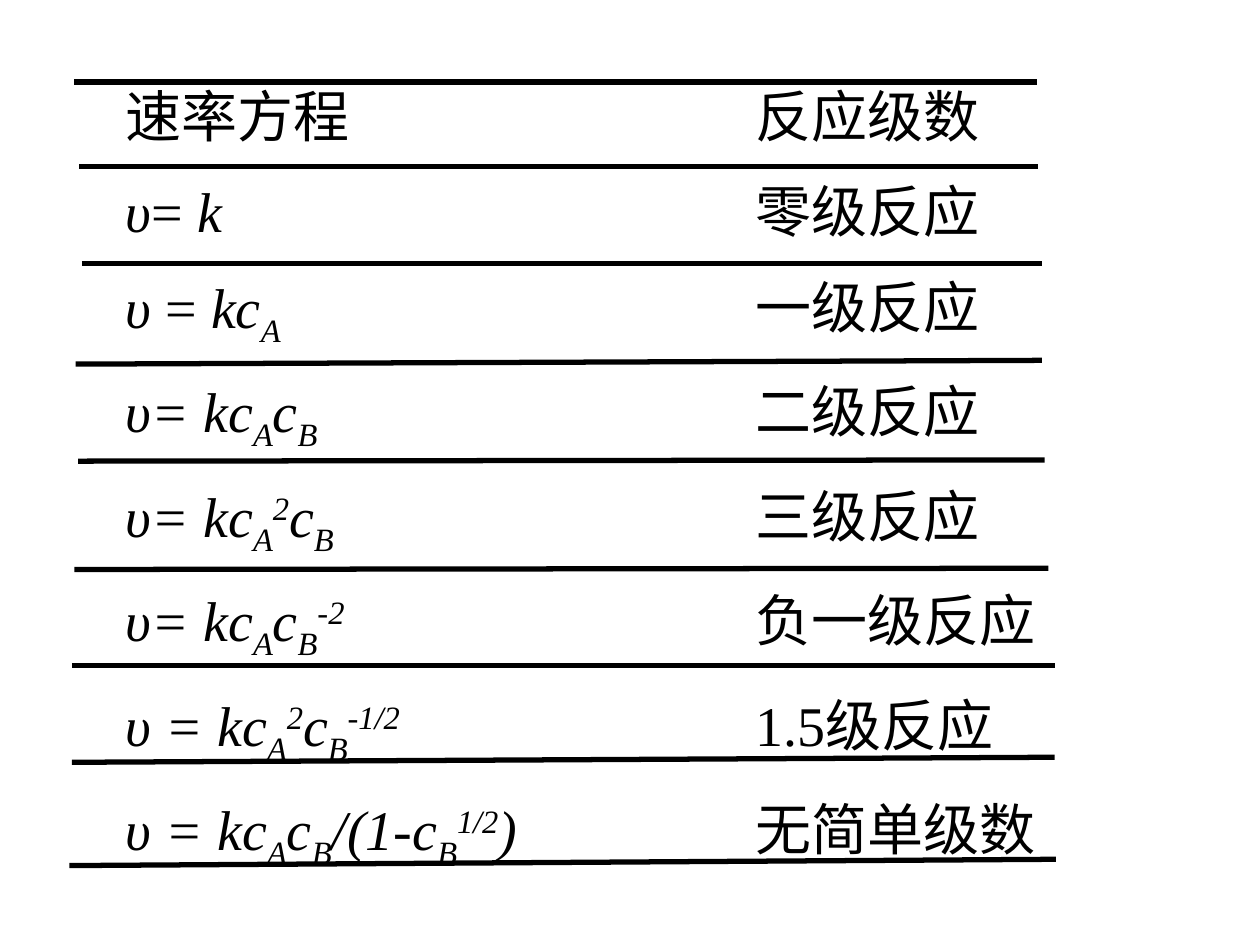
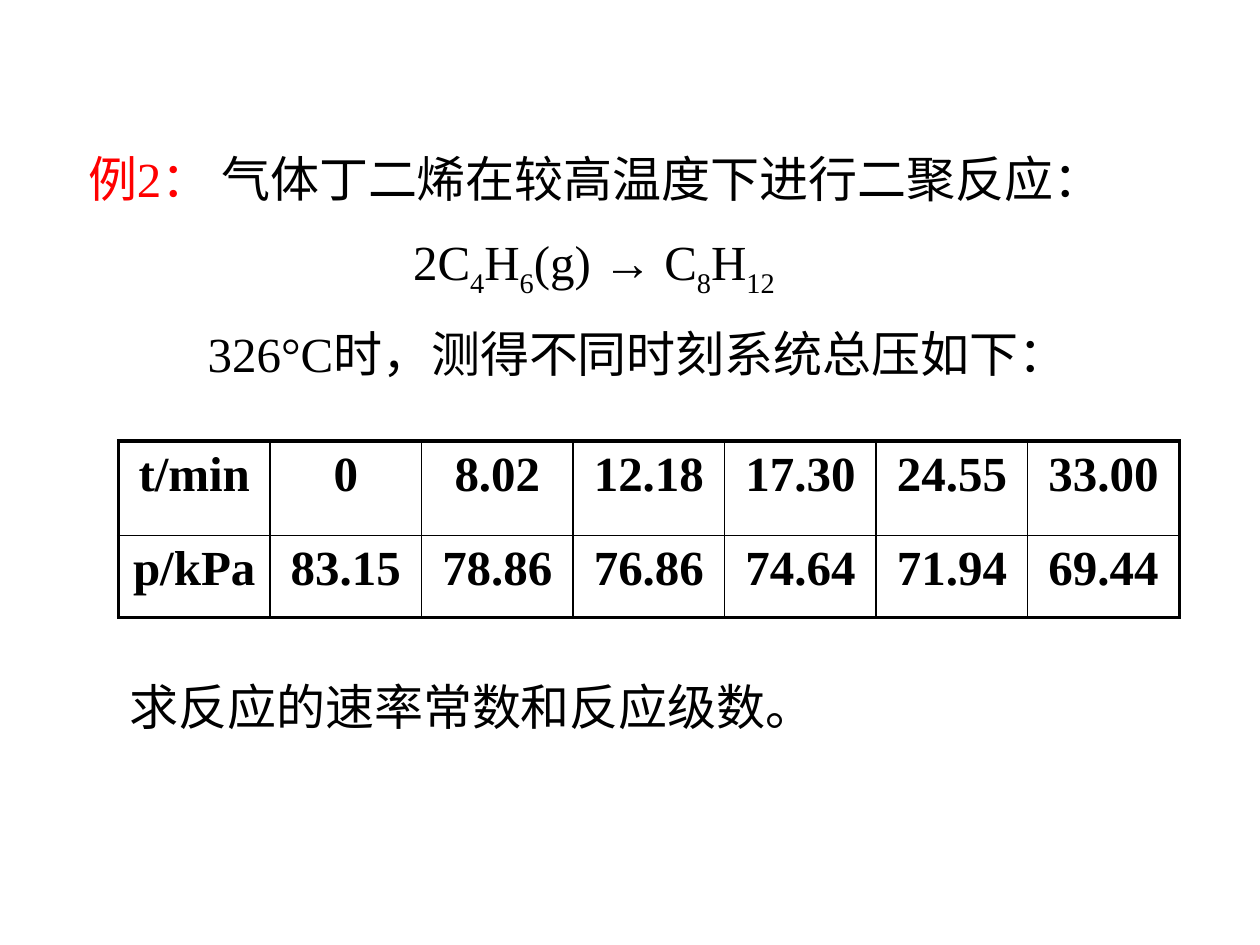
from dataclasses import dataclass
from functools import partial

from lxml.etree import SubElement
from pptx import Presentation
from pptx.dml.color import RGBColor as Rgb
from pptx.enum.shapes import MSO_CONNECTOR as Connector
from pptx.enum.text import MSO_AUTO_SIZE as AutoSize, PP_ALIGN as Align
from pptx.oxml.ns import qn
from pptx.util import Pt

EMU_PER_PX = 9144


def emu(px):
    return px * EMU_PER_PX


@dataclass(frozen=True)
class Theme:
    font: str = "Times New Roman"
    ink: str = "000000"
    accent: str = "FF0000"
    rate_size: int = 32
    example_size: int = 28
    rule_width: float = 3
    frame_width: float = 2.25
    grid_width: float = 1


@dataclass(frozen=True)
class Piece:
    text: str
    italic: bool = False
    shift: int = 0
    color: str = Theme.ink


@dataclass(frozen=True)
class Line:
    pieces: list
    indent: int = 0
    tab: int = 0


var = partial(Piece, italic=True)
sub = partial(Piece, shift=-25000)
var_sub = partial(sub, italic=True)
var_sup = partial(var, shift=30000)


class Deck:
    def __init__(self, theme):
        self.theme = theme
        self.prs = Presentation()
        self.prs.slide_width, self.prs.slide_height = emu(1000), emu(750)
        self.slide = None

    def new_slide(self):
        self.slide = self.prs.slides.add_slide(self.prs.slide_layouts[6])

    def add_run(self, paragraph, piece, size, bold=False):
        run = paragraph.add_run()
        run.text = piece.text
        font = run.font
        font.name, font.size = self.theme.font, Pt(size)
        font.bold, font.italic = bold, piece.italic
        font.color.rgb = Rgb.from_string(piece.color)
        if piece.shift:
            font._element.set("baseline", str(piece.shift))

    def text(self, left, top, width, height, lines, size):
        box = self.slide.shapes.add_textbox(*map(emu, (left, top, width, height)))
        frame = box.text_frame
        frame.word_wrap = True
        frame.auto_size = AutoSize.SHAPE_TO_FIT_TEXT
        for number, line in enumerate(lines):
            paragraph = frame.add_paragraph() if number else frame.paragraphs[0]
            props = paragraph._p.get_or_add_pPr()
            if line.indent:
                props.set("marL", str(emu(line.indent)))
            if line.tab:
                stops = SubElement(props, qn("a:tabLst"))
                SubElement(stops, qn("a:tab"), pos=str(emu(line.tab)), algn="l")
            if number:
                paragraph.space_before = Pt(size / 2)
            for piece in line.pieces:
                self.add_run(paragraph, piece, size)

    def rule(self, x1, y1, x2, y2):
        rule = self.slide.shapes.add_connector(
            Connector.STRAIGHT, *map(emu, (x1, y1, x2, y2)))
        rule.line.color.rgb = Rgb.from_string(self.theme.ink)
        rule.line.width = Pt(self.theme.rule_width)
        SubElement(rule._element.spPr, qn("a:effectLst"))

    def border(self, cell, side, width):
        line = SubElement(cell._tc.get_or_add_tcPr(), qn(f"a:ln{side}"), w=str(Pt(width)))
        fill = SubElement(line, qn("a:solidFill"))
        SubElement(fill, qn("a:srgbClr"), val=self.theme.ink)

    def table(self, left, top, width, heights, rows, size):
        last_row, last_col = len(rows) - 1, len(rows[0]) - 1
        table = self.slide.shapes.add_table(
            len(rows), len(rows[0]), *map(emu, (left, top, width, sum(heights)))).table
        table.first_row = table.horz_banding = False
        for column in table.columns:
            column.width = emu(width) // len(rows[0])
        for r, values in enumerate(rows):
            table.rows[r].height = emu(heights[r])
            for c, value in enumerate(values):
                cell = table.cell(r, c)
                outer = {"L": c == 0, "R": c == last_col, "T": r == 0, "B": r == last_row}
                for side, framed in outer.items():
                    self.border(cell, side, self.theme.frame_width if framed
                                else self.theme.grid_width)
                cell.fill.background()
                paragraph = cell.text_frame.paragraphs[0]
                paragraph.alignment = Align.CENTER
                self.add_run(paragraph, Piece(value), size, bold=True)


def rate_equations(deck):
    deck.new_slide()
    k_a = [var("υ= kc"), var_sub("A")]
    spaced_k_a = [var("υ = kc"), var_sub("A")]
    c_b = [var("c"), var_sub("B")]
    orders = [
        ([Piece("速率方程")], "反应级数"),
        ([var("υ"), Piece("= "), var("k")], "零级反应"),
        ([var("υ "), Piece("= "), var("kc"), var_sub("A")], "一级反应"),
        (k_a + c_b, "二级反应"),
        (k_a + [var_sup("2")] + c_b, "三级反应"),
        (k_a + c_b + [var_sup("-2")], "负一级反应"),
        (spaced_k_a + [var_sup("2")] + c_b + [var_sup("-1/2")], "1.5级反应"),
        (spaced_k_a + c_b + [var("/(1-c"), var_sub("B"), var_sup("1/2"), var(")")],
         "无简单级数"),
    ]
    lines = [Line(equation + [Piece("\t" + order)], tab=500) for equation, order in orders]
    deck.text(90, 60, 857, 624, lines, deck.theme.rate_size)
    for ends in [
        (59, 65, 823, 65),
        (63, 132, 824, 132),
        (65, 209, 827, 209),
        (60, 289, 827, 286),
        (62, 366, 829, 365),
        (59, 452, 832, 451),
        (57, 528, 837, 528),
        (57, 605, 837, 601),
        (55, 687, 838, 682),
    ]:
        deck.rule(*ends)


def dimerisation_example(deck):
    deck.new_slide()
    size = deck.theme.example_size
    deck.text(60, 113, 842, 197, [
        Line([Piece("例2： ", color=deck.theme.accent),
              Piece("气体丁二烯在较高温度下进行二聚反应：")]),
        Line([Piece("2C"), sub("4"), Piece("H"), sub("6"), Piece("(g) → C"),
              sub("8"), Piece("H"), sub("12")], indent=258),
        Line([Piece("326°C时，测得不同时刻系统总压如下：")], indent=95),
    ], size)
    deck.table(94, 350, 842, [75, 65], [
        ["t/min", "0", "8.02", "12.18", "17.30", "24.55", "33.00"],
        ["p/kPa", "83.15", "78.86", "76.86", "74.64", "71.94", "69.44"],
    ], size)
    deck.text(93, 532, 627, 57, [Line([Piece("求反应的速率常数和反应级数。")])], size)


def main():
    deck = Deck(Theme())
    rate_equations(deck)
    dimerisation_example(deck)
    deck.prs.save("out.pptx")


if __name__ == "__main__":
    main()
